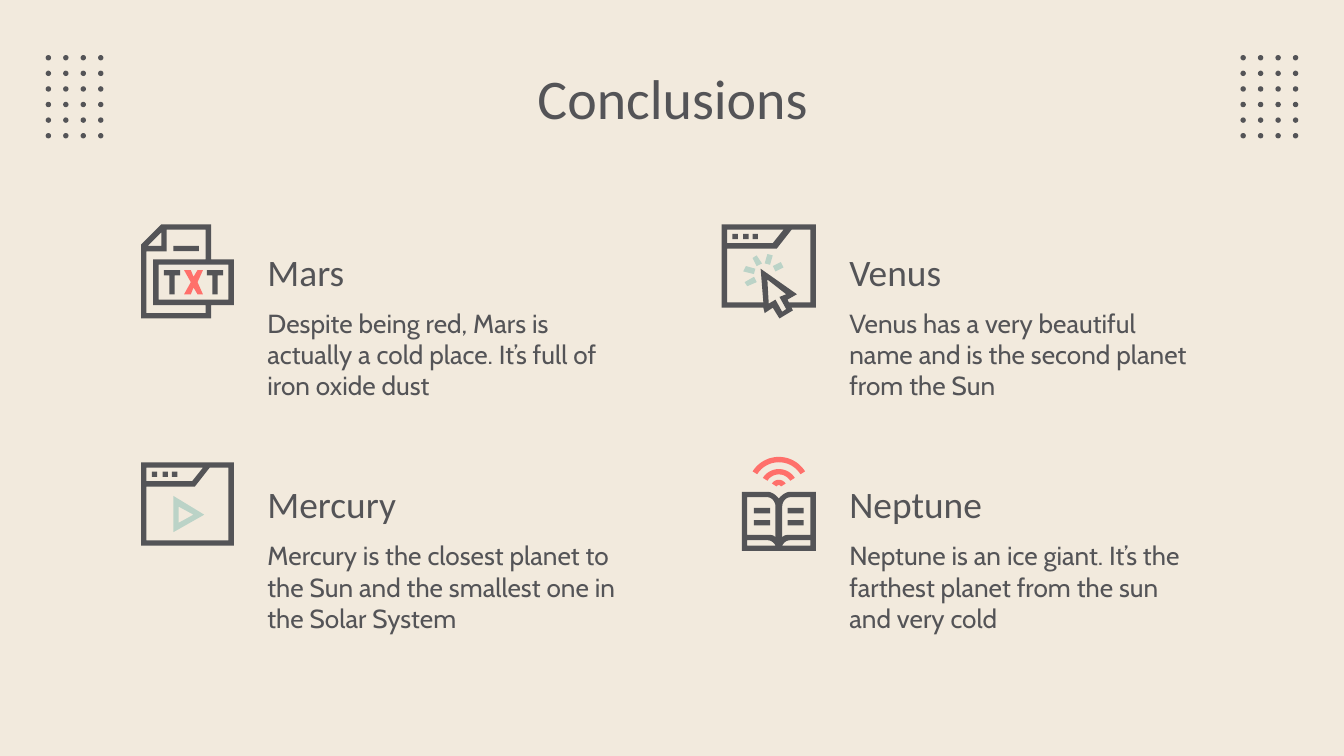
from math import cos, radians, sin

from pptx import Presentation
from pptx.dml.color import RGBColor
from pptx.enum.shapes import MSO_SHAPE
from pptx.enum.text import MSO_ANCHOR, PP_ALIGN
from pptx.util import Inches, Pt

CREAM = RGBColor(0xF2, 0xEA, 0xDD)
GRAY = RGBColor(0x54, 0x54, 0x57)
MINT = RGBColor(0xBB, 0xD3, 0xC7)
CORAL = RGBColor(0xFF, 0x70, 0x6B)

# Slide size, 16:9
SLIDE_WIDTH = 10
SLIDE_HEIGHT = SLIDE_WIDTH * 9 / 16

# Content
TITLE = "Conclusions"
PLANETS = [
    ("Mars", "Despite being red, Mars is actually a cold place. It’s full of iron oxide dust"),
    ("Venus", "Venus has a very beautiful name and is the second planet from the Sun"),
    ("Mercury", "Mercury is the closest planet to the Sun and the smallest one in the Solar System"),
    ("Neptune", "Neptune is an ice giant. It’s the farthest planet from the sun and very cold"),
]
COLUMNS, ROWS = (1.99, 6.32), (1.77, 3.5)
TEXT_WIDTH, NAME_HEIGHT, BODY_HEIGHT = 2.63, 0.5, 0.73

# Dot grids in the top corners
DOT_LEFTS, DOT_TOP, DOT_SIZE = (0.34, 9.23), 0.41, 0.04
DOT_COLUMNS, DOT_ROWS, DOT_STEP_X, DOT_STEP_Y = 4, 6, 0.13, 0.58 / 5


# Geometry helpers
def box(left, top, right, bottom):
    return [(left, top), (left, bottom), (right, bottom), (right, top)]


def shift(points, dx, dy):
    return [(x + dx, y + dy) for x, y in points]


def curve(*controls, steps=8):
    """Points along a cubic Bezier curve."""
    points = []
    for step in range(steps + 1):
        t = step / steps
        weights = ((1 - t) ** 3, 3 * t * (1 - t) ** 2, 3 * t * t * (1 - t), t ** 3)
        points.append(tuple(sum(weight * control[axis] for weight, control in zip(weights, controls))
                            for axis in (0, 1)))
    return points


def wave(center_x, center_y, radius, thickness=0.04, half_angle=58, steps=24):
    """Outline of a curved band, open at the bottom."""
    angles = [radians(half_angle * (2 * step / steps - 1)) for step in range(steps + 1)]
    outer = [(center_x + radius * sin(a), center_y - radius * cos(a)) for a in angles]
    inner_radius = radius - thickness
    inner = [(center_x + inner_radius * sin(a), center_y - inner_radius * cos(a)) for a in angles]
    return outer + inner[::-1]


# Icon outlines, relative to each icon's corner; contours after the first are holes
WINDOW_TAB = [(0.46, 0.04), (0.38, 0.14), (0.04, 0.14), (0.04, 0.04)]
WINDOW_BUTTONS = [(x, 0.07, 0.04, 0.04) for x in (0.08, 0.16, 0.23)]
LETTER_T = [(0, 0), (0, 0.04), (0.04, 0.04), (0.04, 0.18), (0.08, 0.18),
            (0.08, 0.04), (0.12, 0.04), (0.12, 0)]
LETTER_X = [(0.42, 0.34), (0.39, 0.39), (0.37, 0.34), (0.32, 0.34), (0.37, 0.43), (0.32, 0.52),
            (0.37, 0.52), (0.39, 0.47), (0.42, 0.52), (0.46, 0.52), (0.42, 0.43), (0.46, 0.34)]
FILE = [
    [(0.15, 0), (0, 0.15), (0, 0.7), (0.52, 0.7), (0.52, 0.6), (0.69, 0.6), (0.69, 0.26),
     (0.52, 0.26), (0.52, 0)],
    [(0.15, 0.06), (0.15, 0.16), (0.05, 0.16)],
    box(0.13, 0.3, 0.65, 0.56),
    [(0.48, 0.04), (0.48, 0.26), (0.09, 0.26), (0.09, 0.6), (0.48, 0.6), (0.48, 0.66),
     (0.04, 0.66), (0.04, 0.2), (0.19, 0.2), (0.19, 0.04)],
]
CLICK_WINDOW = [
    [(0, 0), (0, 0.62), (0.31, 0.62), (0.32, 0.66), (0.38, 0.62), (0.43, 0.7), (0.53, 0.64),
     (0.52, 0.62), (0.7, 0.62), (0.7, 0)],
    WINDOW_TAB,
    [(0.66, 0.04), (0.66, 0.58), (0.5, 0.58), (0.49, 0.56), (0.56, 0.52), (0.29, 0.33),
     (0.31, 0.58), (0.04, 0.58), (0.04, 0.18), (0.41, 0.18), (0.52, 0.04)],
    [(0.34, 0.41), (0.48, 0.52), (0.43, 0.54), (0.48, 0.63), (0.45, 0.65), (0.4, 0.56), (0.35, 0.59)],
]
CLICK_RAYS = [
    [(0.26, 0.23), (0.23, 0.25), (0.26, 0.31), (0.3, 0.29)],
    [(0.34, 0.22), (0.32, 0.29), (0.36, 0.3), (0.38, 0.23)],
    [(0.44, 0.28), (0.38, 0.31), (0.4, 0.35), (0.46, 0.32)],
    [(0.18, 0.31), (0.16, 0.35), (0.24, 0.37), (0.25, 0.33)],
    [(0.24, 0.39), (0.17, 0.43), (0.19, 0.46), (0.26, 0.43)],
]
VIDEO_WINDOW = [
    box(0, 0, 0.69, 0.62),
    WINDOW_TAB,
    [(0.65, 0.04), (0.65, 0.58), (0.04, 0.58), (0.04, 0.18), (0.4, 0.18), (0.51, 0.04)],
]
PLAY = [[(0.24, 0.25), (0.24, 0.52), (0.47, 0.39)], [(0.28, 0.33), (0.39, 0.39), (0.28, 0.45)]]

# The book is symmetric about its spine
BOOK_WIDTH = 0.55
SPINE = BOOK_WIDTH / 2


def mirror(points):
    return [(BOOK_WIDTH - x, y) for x, y in reversed(points)]


COVER = curve((SPINE, 0.31), (0.25, 0.28), (0.22, 0.26), (0.19, 0.26)) + [(0, 0.26), (0, 0.7)]
PAGE = (curve((0.19, 0.3), (0.22, 0.3), (0.25, 0.33), (0.25, 0.37))
        + curve((0.25, 0.6), (0.24, 0.58), (0.21, 0.58), (0.19, 0.58)) + [(0.04, 0.58), (0.04, 0.3)])
PAGE_EDGE = curve((0.19, 0.62), (0.22, 0.62), (0.24, 0.64), (0.25, 0.66)) + [(0.04, 0.66), (0.04, 0.62)]
BOOK = [COVER + mirror(COVER), PAGE, mirror(PAGE), PAGE_EDGE, mirror(PAGE_EDGE)]

# Icons: corner, gray bars, coloured outlines
ICONS = [
    ((1.05, 1.67), [(0.24, 0.16, 0.19, 0.04)],
     [(GRAY, FILE), (GRAY, [shift(LETTER_T, 0.17, 0.34)]), (GRAY, [shift(LETTER_T, 0.49, 0.34)]),
      (CORAL, [LETTER_X])]),
    ((5.37, 1.67), WINDOW_BUTTONS, [(GRAY, CLICK_WINDOW)] + [(MINT, [ray]) for ray in CLICK_RAYS]),
    ((1.05, 3.44), WINDOW_BUTTONS, [(GRAY, VIDEO_WINDOW), (MINT, PLAY)]),
    ((5.52, 3.4), [(x, y, 0.12, 0.04) for x in (0.09, 0.34) for y in (0.38, 0.47)],
     [(GRAY, BOOK)] + [(CORAL, [wave(SPINE, 0.23, radius)]) for radius in (0.06, 0.14, 0.23)]),
]


# Drawing helpers
def paint(shape, color):
    shape.shadow.inherit = False
    shape.fill.solid()
    shape.fill.fore_color.rgb = color
    shape.line.fill.background()


def add_preset(shapes, kind, color, *place):
    paint(shapes.add_shape(kind, *map(Inches, place)), color)


def add_outline(shapes, contours, color):
    builder = None
    for contour in contours:
        start, *rest = [(Inches(x), Inches(y)) for x, y in contour]
        if builder is None:
            builder = shapes.build_freeform(*start)
        else:
            builder.move_to(*start)
        builder.add_line_segments(rest, close=True)
    paint(builder.convert_to_shape(), color)


def add_text(slide, text, place, font_name, size, align=PP_ALIGN.LEFT,
             anchor=MSO_ANCHOR.MIDDLE, insets=(0, 0, 0, 0)):
    frame = slide.shapes.add_textbox(*map(Inches, place)).text_frame
    left, top, right, bottom = map(Inches, insets)
    frame_format = {"word_wrap": True, "vertical_anchor": anchor, "margin_left": left,
                    "margin_top": top, "margin_right": right, "margin_bottom": bottom}
    for name, value in frame_format.items():
        setattr(frame, name, value)
    paragraph = frame.paragraphs[0]
    paragraph.alignment = align
    run = paragraph.add_run()
    run.text = text
    for name, value in {"name": font_name, "size": Pt(size)}.items():
        setattr(run.font, name, value)
    run.font.color.rgb = GRAY


def main():
    presentation = Presentation()
    presentation.slide_width, presentation.slide_height = Inches(SLIDE_WIDTH), Inches(SLIDE_HEIGHT)
    slide = presentation.slides.add_slide(presentation.slide_layouts[6])
    slide.background.fill.solid()
    slide.background.fill.fore_color.rgb = CREAM

    # Dot grids
    for left in DOT_LEFTS:
        dots = slide.shapes.add_group_shape().shapes
        for row in range(DOT_ROWS):
            for column in range(DOT_COLUMNS):
                add_preset(dots, MSO_SHAPE.OVAL, GRAY, left + column * DOT_STEP_X,
                           DOT_TOP + row * DOT_STEP_Y, DOT_SIZE, DOT_SIZE)

    # Title and planet texts
    add_text(slide, TITLE, (0.79, 0.4, 8.43, 0.63), "Calibri", 30, PP_ALIGN.CENTER,
             MSO_ANCHOR.TOP, (0.1, 0.07, 0.1, 0.1))
    for index, (name, description) in enumerate(PLANETS):
        row, column = divmod(index, len(COLUMNS))
        left, top = COLUMNS[column], ROWS[row]
        add_text(slide, name, (left, top, TEXT_WIDTH, NAME_HEIGHT), "Calibri", 20)
        add_text(slide, description, (left, top + NAME_HEIGHT, TEXT_WIDTH, BODY_HEIGHT), "Cabin", 14)

    # Icons
    for (left, top), bars, outlines in ICONS:
        icon = slide.shapes.add_group_shape().shapes
        for color, contours in outlines:
            add_outline(icon, [shift(contour, left, top) for contour in contours], color)
        for x, y, width, height in bars:
            add_preset(icon, MSO_SHAPE.RECTANGLE, GRAY, left + x, top + y, width, height)

    presentation.save("out.pptx")


if __name__ == "__main__":
    main()
